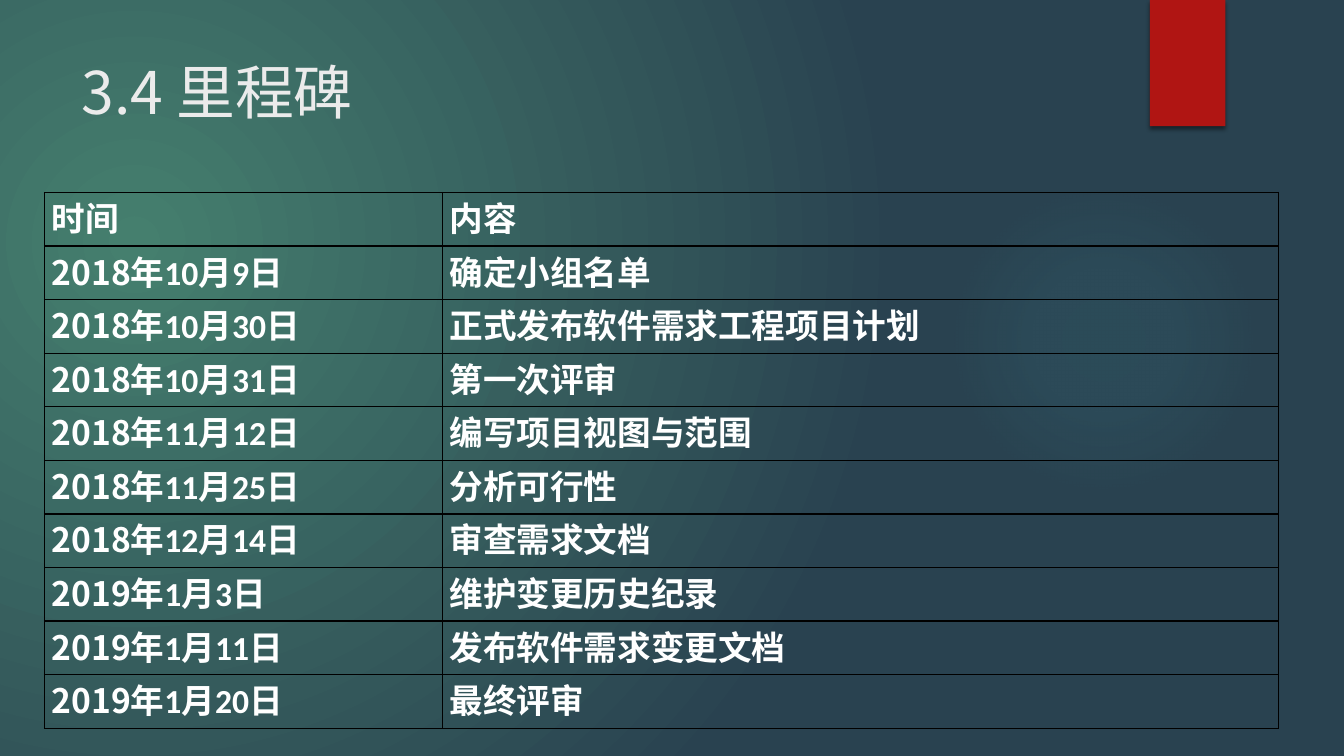
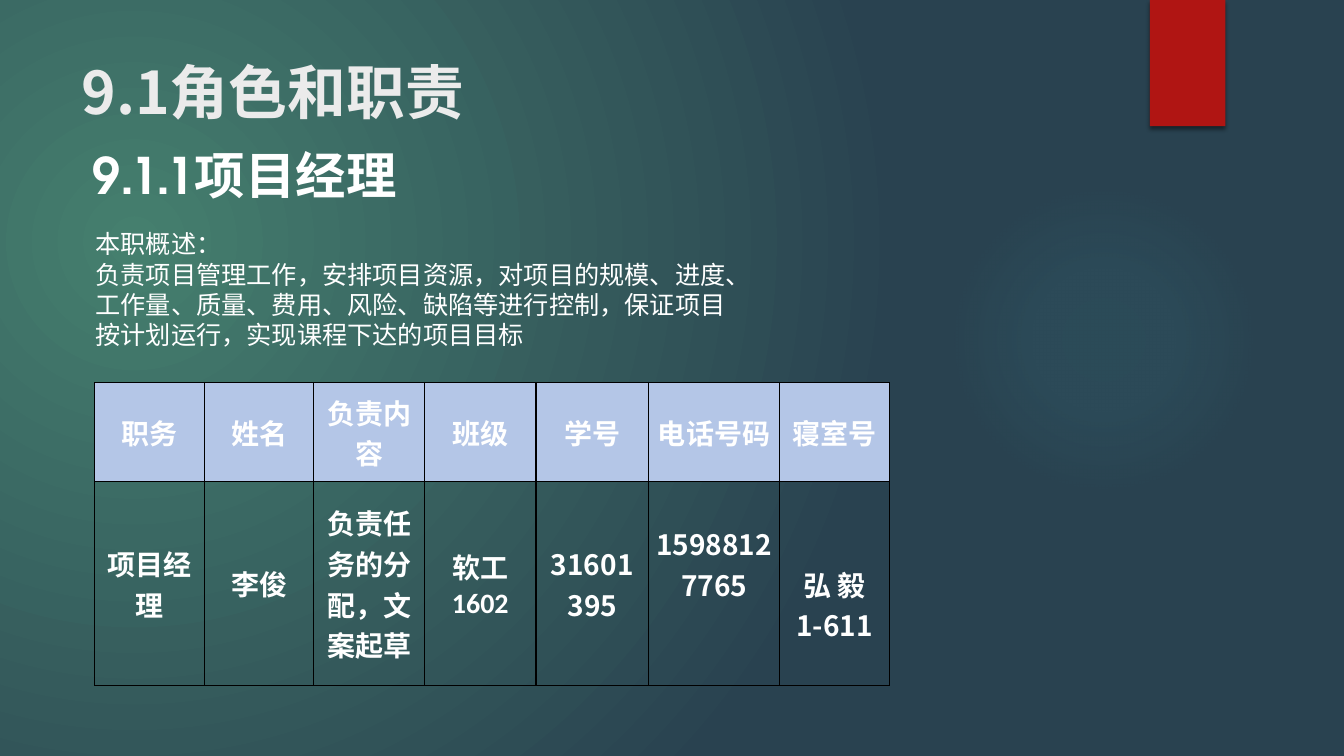
from dataclasses import dataclass

from lxml import etree
from pptx import Presentation
from pptx.dml.color import RGBColor
from pptx.enum.shapes import MSO_SHAPE
from pptx.enum.text import MSO_ANCHOR, MSO_AUTO_SIZE, PP_ALIGN
from pptx.oxml import parse_xml
from pptx.oxml.ns import nsdecls, qn
from pptx.util import Cm, Pt

OVAL, RECTANGLE = MSO_SHAPE.OVAL, MSO_SHAPE.RECTANGLE
TOP, MIDDLE = MSO_ANCHOR.TOP, MSO_ANCHOR.MIDDLE
NO_FIT, FIT_SHAPE = MSO_AUTO_SIZE.NONE, MSO_AUTO_SIZE.SHAPE_TO_FIT_TEXT
LEFT, CENTER = PP_ALIGN.LEFT, PP_ALIGN.CENTER
TITLE_ONLY = 5
NUMBER_CHARS = "0123456789-"


@dataclass(frozen=True)
class Theme:
    """Colours, fonts and type sizes of the deck."""
    glow: str = "457F6E"
    ground: str = "294250"
    halo: str = "50B9C1"
    ribbon: str = "B01513"
    title: str = "EBEBEB"
    text: str = "FFFFFF"
    rule: str = "000000"
    header: str = "B4C6E7"
    sans: str = "Noto Sans CJK SC"
    display: str = "TeX Gyre Adventor"
    table: str = "Calibri"
    title_size: int = 42
    heading_size: int = 36
    milestone_size: int = 24
    role_size: int = 20
    body_size: int = 18


def apply(target, formats):
    """Set every attribute named in formats on target."""
    for name, value in formats.items():
        setattr(target, name, value)


def radial_gradient(stops, focus):
    """Return a circular gradient fill of (position, colour, alpha) stops."""
    stop_xml = "".join(
        f'<a:gs pos="{position * 1000}"><a:srgbClr val="{colour}">'
        f'<a:alpha val="{alpha * 1000}"/></a:srgbClr></a:gs>'
        for position, colour, alpha in stops)
    edges = " ".join(f'{side}="{value * 1000}"' for side, value in zip("ltrb", focus))
    return parse_xml(
        f'<a:gradFill {nsdecls("a")} rotWithShape="1"><a:gsLst>{stop_xml}</a:gsLst>'
        f'<a:path path="circle"><a:fillToRect {edges}/></a:path></a:gradFill>')


def replace_empty_fill(properties, gradient):
    """Put a gradient where the properties hold an empty fill."""
    properties.replace(properties.find(qn("a:noFill")), gradient)


class Deck:
    """Hold the theme and the current slide, and draw its elements."""

    def __init__(self, theme):
        """Start a wide presentation with the shared background."""
        self.theme = theme
        self.presentation = Presentation()
        apply(self.presentation, {"slide_width": Cm(33.87), "slide_height": Cm(19.05)})
        master = self.presentation.slide_master
        master.background.fill.background()
        replace_empty_fill(
            master.element.find(".//" + qn("p:bgPr")),
            radial_gradient([(0, theme.glow, 100), (100, theme.ground, 100)],
                            (45, 65, 125, 100)))

    def new_slide(self, title, bold=False):
        """Add a slide with the halo, the ribbon and its title."""
        theme = self.theme
        layout = self.presentation.slide_layouts[TITLE_ONLY]
        self.slide = self.presentation.slides.add_slide(layout)
        halo = self.shape(OVAL, 23.9, 4.65, 7.82, 7.82)
        halo.fill.background()
        replace_empty_fill(
            halo.element.spPr,
            radial_gradient([(0, theme.halo, 7), (36, theme.halo, 6), (69, theme.halo, 0)],
                            (50, 50, 50, 50)))
        ribbon = self.shape(RECTANGLE, 28.98, 0, 1.9, 3.18)
        ribbon.fill.solid()
        ribbon.fill.fore_color.rgb = RGBColor.from_string(theme.ribbon)
        effects = ribbon.element.spPr.find(qn("a:effectLst"))
        shadow = etree.SubElement(effects, qn("a:outerShdw"), blurRad=str(Pt(3)),
                                  dist=str(Pt(2)), dir="5400000", rotWithShape="0")
        shade = etree.SubElement(shadow, qn("a:srgbClr"), val=theme.rule)
        etree.SubElement(shade, qn("a:alpha"), val="45000")

        heading = self.slide.shapes.title
        apply(heading, {"left": Cm(1.8), "top": Cm(1.27),
                        "width": Cm(26.14), "height": Cm(3.89)})
        apply(heading.text_frame, {"vertical_anchor": TOP, "auto_size": NO_FIT})
        paragraph = heading.text_frame.paragraphs[0]
        paragraph.alignment = LEFT
        self.run(paragraph, title, theme.sans, theme.title_size, theme.title, bold)

    def shape(self, preset, left, top, width, height):
        """Add a preset shape without line or shadow."""
        shape = self.slide.shapes.add_shape(preset, Cm(left), Cm(top), Cm(width), Cm(height))
        shape.shadow.inherit = False
        shape.line.fill.background()
        return shape

    def run(self, paragraph, text, font, size, colour, bold=False):
        """Add a run with its Latin and East Asian fonts."""
        run = paragraph.add_run()
        run.text = text
        apply(run.font, {"name": font, "size": Pt(size), "bold": bold})
        run.font.color.rgb = RGBColor.from_string(colour)
        east_asian = self.theme.sans if font == self.theme.table else font
        etree.SubElement(run.font._element, qn("a:ea"), typeface=east_asian)

    def text_box(self, lines, left, top, width, height, size, bold=False, wrap=True):
        """Add a text box with one paragraph per line."""
        box = self.slide.shapes.add_textbox(Cm(left), Cm(top), Cm(width), Cm(height))
        frame = box.text_frame
        apply(frame, {"word_wrap": wrap, "auto_size": FIT_SHAPE})
        for index, line in enumerate(lines):
            paragraph = frame.add_paragraph() if index else frame.paragraphs[0]
            self.run(paragraph, line, self.theme.display, size, self.theme.text, bold)

    def table(self, records, left, top, widths, heights, size,
              anchor=TOP, align=LEFT, header=None):
        """Add a ruled table, with an optional header colour."""
        table = self.slide.shapes.add_table(
            len(heights), len(widths), Cm(left), Cm(top),
            Cm(sum(widths)), Cm(sum(heights))).table
        apply(table, {"first_row": False, "horz_banding": False})
        for column, width in zip(table.columns, widths):
            column.width = Cm(width)
        for row, height in zip(table.rows, heights):
            row.height = Cm(height)
        for row_index, record in enumerate(records):
            for column_index, text in enumerate(record):
                cell = table.cell(row_index, column_index)
                fill = header if row_index == 0 else None
                self.cell(cell, text, size, anchor, align, fill)
        return table

    def cell(self, cell, text, size, anchor, align, fill):
        """Write one table cell, with leading numbers in the sans font."""
        theme = self.theme
        apply(cell, {"margin_left": Cm(0.18), "margin_right": Cm(0.18),
                     "margin_top": 0, "margin_bottom": 0, "vertical_anchor": anchor})
        for index, line in enumerate(text.split("\n")):
            frame = cell.text_frame
            paragraph = frame.add_paragraph() if index else frame.paragraphs[0]
            paragraph.alignment = align
            words = line.lstrip(NUMBER_CHARS)
            number = line[:len(line) - len(words)]
            for part, font in ((number, theme.sans), (words, theme.table)):
                if part:
                    self.run(paragraph, part, font, size, theme.text, True)
        if fill:
            cell.fill.solid()
            cell.fill.fore_color.rgb = RGBColor.from_string(fill)
        else:
            cell.fill.background()
        properties = cell._tc.get_or_add_tcPr()
        for index, side in enumerate("LRTB"):
            properties.insert(index, parse_xml(
                f'<a:ln{side} {nsdecls("a")} w="{Pt(1)}"><a:solidFill>'
                f'<a:srgbClr val="{theme.rule}"/></a:solidFill></a:ln{side}>'))


def milestones(deck):
    """Build the milestone slide."""
    deck.new_slide("3.4 里程碑")
    schedule = [
        ("时间", "内容"),
        ("2018年10月9日", "确定小组名单"),
        ("2018年10月30日", "正式发布软件需求工程项目计划"),
        ("2018年10月31日", "第一次评审"),
        ("2018年11月12日", "编写项目视图与范围"),
        ("2018年11月25日", "分析可行性"),
        ("2018年12月14日", "审查需求文档"),
        ("2019年1月3日", "维护变更历史纪录"),
        ("2019年1月11日", "发布软件需求变更文档"),
        ("2019年1月20日", "最终评审"),
    ]
    deck.table(schedule, 1.12, 4.85, [10.03, 21.06], [1.35] * len(schedule),
               deck.theme.milestone_size)


def roles(deck):
    """Build the roles and duties slide."""
    theme = deck.theme
    deck.new_slide("9.1角色和职责", bold=True)
    deck.text_box(["9.1.1项目经理"], 2.08, 3.5, 8.53, 1.8, theme.heading_size,
                  bold=True, wrap=False)
    deck.text_box(
        ["本职概述：",
         "负责项目管理工作，安排项目资源，对项目的规模、进度、工作量、质量、费用、风险、"
         "缺陷等进行控制，保证项目按计划运行，实现课程下达的项目目标"],
        2.16, 5.64, 16.94, 3.33, theme.body_size)
    members = [
        ("职务", "姓名", "负责内容", "班级", "学号", "电话号码", "寝室号"),
        ("项目经理", "李俊", "负责任务的分配，文案起草", "软工1602", "31601395",
         "15988127765", "弘 毅\n1-611"),
    ]
    table = deck.table(members, 2.39, 9.64, [2.76, 2.76, 2.8, 2.8, 2.84, 3.3, 2.78],
                       [2.5, 5.13], theme.role_size, MIDDLE, CENTER, theme.header)
    phone, dormitory = table.cell(1, 5), table.cell(1, 6)
    apply(phone, {"margin_top": Cm(1.04), "vertical_anchor": TOP})
    apply(dormitory, {"margin_top": Cm(1.04)})


def main():
    """Build and save the deck."""
    deck = Deck(Theme())
    milestones(deck)
    roles(deck)
    deck.presentation.save("out.pptx")


if __name__ == "__main__":
    main()
